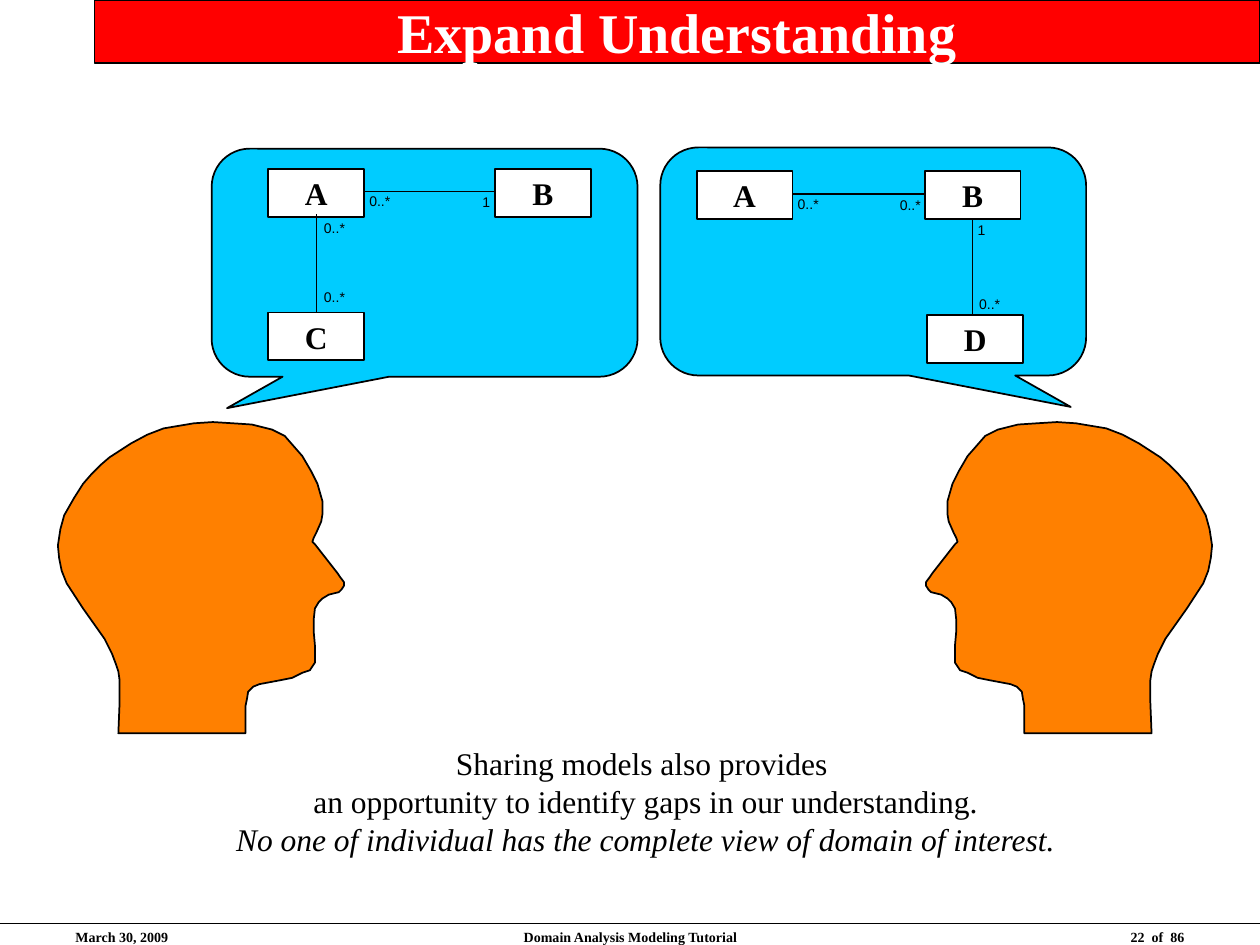
from dataclasses import dataclass
from lxml import etree
from pptx import Presentation
from pptx.dml.color import RGBColor
from pptx.enum.shapes import MSO_CONNECTOR, MSO_SHAPE
from pptx.enum.text import MSO_ANCHOR, MSO_AUTO_SIZE, PP_ALIGN
from pptx.oxml.ns import qn
from pptx.util import Inches, Pt

RECT = MSO_SHAPE.RECTANGLE
CALLOUT = MSO_SHAPE.ROUNDED_RECTANGULAR_CALLOUT
STRAIGHT = MSO_CONNECTOR.STRAIGHT
TOP, MIDDLE = MSO_ANCHOR.TOP, MSO_ANCHOR.MIDDLE
LEFT, CENTER, RIGHT = PP_ALIGN.LEFT, PP_ALIGN.CENTER, PP_ALIGN.RIGHT
COLS, ROWS = 1000, 750
CELL = Inches(10) // COLS


@dataclass(frozen=True)
class Theme:
    black: str = "000000"
    white: str = "FFFFFF"
    banner: str = "FF0000"
    bubble: str = "00CCFF"
    head: str = "FF8000"
    serif: str = "Times New Roman"
    sans: str = "Arial"
    title: int = 32
    body: int = 18
    small: int = 8
    thin: float = 0.75
    outline: float = 1


THEME = Theme()
TITLE = dict(name=THEME.serif, size=THEME.title, bold=True, color=THEME.white)
BODY = dict(name=THEME.serif, size=THEME.body, bold=False, color=THEME.black)
CLASS = {**BODY, "bold": True}
FOOTER = {**CLASS, "size": THEME.small}
LABEL = {**BODY, "name": THEME.sans, "size": THEME.small}

HEAD_SIZE = (227, 247)
HEAD_OUTLINE = [
    (149, 247), (149, 225), (150, 220), (151, 214), (155, 210), (160, 208),
    (176, 205), (186, 203), (194, 199), (200, 197), (202, 194), (204, 191),
    (204, 184), (204, 177), (203, 166), (203, 157), (204, 148), (207, 143),
    (210, 140), (215, 137), (223, 135), (225, 133), (227, 130), (227, 127),
    (224, 123), (222, 120), (204, 97), (202, 95), (203, 92), (205, 88),
    (209, 79), (210, 73), (210, 63), (206, 49), (201, 39), (194, 27),
    (187, 19), (180, 11), (170, 6), (154, 2), (139, 1), (123, 0),
    (108, 1), (96, 3), (84, 5), (71, 10), (58, 17), (41, 28),
    (34, 34), (27, 41), (20, 49), (13, 60), (5, 74), (2, 85),
    (0, 98), (1, 108), (3, 118), (7, 128), (20, 148), (37, 172),
    (43, 184), (46, 192), (48, 198), (49, 205), (49, 211), (49, 222),
    (48, 247),
]
CLASS_SIZE = (76, 38)
LABEL_WIDTHS = {"0..*": 37, "1": 26}
LABEL_HEIGHT = 24

LEFT_MODEL = dict(
    classes=[("A", 45, 16), ("C", 45, 130), ("B", 225, 16)],
    links=[(83, 52, 83, 130), (121, 34, 226, 34)],
    labels=[("0..*", 79, 106), ("0..*", 79, 51), ("0..*", 115, 30), ("1", 205, 31)],
)
RIGHT_MODEL = dict(
    classes=[("D", 212, 133), ("A", 29, 19), ("B", 210, 19)],
    links=[(105, 37, 210, 37), (248, 57, 248, 132)],
    labels=[("0..*", 99, 33), ("0..*", 180, 34), ("0..*", 243, 113), ("1", 242, 54)],
)


def grid(*cells):
    return [c * CELL for c in cells]


def paint(s, fill, width):
    s.shadow.inherit = False
    s.fill.solid()
    s.fill.fore_color.rgb = RGBColor.from_string(fill)
    s.line.color.rgb = RGBColor.from_string(THEME.black)
    s.line.width = Pt(width)


def format_font(font, style):
    values = {**style, "size": Pt(style["size"])}
    font.color.rgb = RGBColor.from_string(values.pop("color"))
    for key, value in values.items():
        setattr(font, key, value)


def write(s, lines, style, align=CENTER, anchor=TOP, wrap=False):
    tf = s.text_frame
    frame = dict(word_wrap=wrap, vertical_anchor=anchor, auto_size=MSO_AUTO_SIZE.NONE)
    for key, value in frame.items():
        setattr(tf, key, value)
    for i, line in enumerate(lines):
        p = tf.add_paragraph() if i else tf.paragraphs[0]
        p.alignment = align
        r = p.add_run()
        r.text = line
        format_font(r.font, style)
    return tf


def add_line(shapes, x1, y1, x2, y2):
    line = shapes.add_connector(STRAIGHT, *grid(x1, y1, x2, y2))
    line.line.color.rgb = RGBColor.from_string(THEME.black)
    line.line.width = Pt(THEME.thin)
    etree.SubElement(line._element.spPr, qn("a:effectLst"))


def add_title(s, box):
    title = s.shapes.title
    title.left, title.top, title.width, title.height = grid(*box)
    title.fill.solid()
    title.fill.fore_color.rgb = RGBColor.from_string(THEME.banner)
    title.line.color.rgb = RGBColor.from_string(THEME.black)
    title.line.width = Pt(THEME.thin)
    write(title, ["Expand Understanding"], TITLE, anchor=MIDDLE, wrap=True)


def add_footer(s, box):
    x, y, w, h = box
    add_line(s.shapes, x, y + 1, x + w, y + 1)
    parts = [
        ("March 30, 2009", 50, 233, LEFT),
        ("Domain Analysis Modeling Tutorial", 342, 317, CENTER),
        ("22  of  86", 717, 233, RIGHT),
    ]
    for text, dx, width, align in parts:
        tb = s.shapes.add_textbox(*grid(x + dx, y, width, h))
        write(tb, [text], FOOTER, align, wrap=True)


def add_head(s, x, y, mirrored=False):
    points = [(HEAD_SIZE[0] - px if mirrored else px, py) for px, py in HEAD_OUTLINE]
    builder = s.shapes.build_freeform(*points[0], scale=CELL)
    builder.add_line_segments(points[1:], close=True)
    paint(builder.convert_to_shape(*grid(x, y)), THEME.head, THEME.outline)


def add_speech(s, box, model, tail):
    x, y = box[:2]
    bubble = s.shapes.add_shape(CALLOUT, *grid(*box))
    for i, value in enumerate((tail, 0.638, 0.167)):
        bubble.adjustments[i] = value
    paint(bubble, THEME.bubble, THEME.outline)
    shapes = s.shapes.add_group_shape().shapes
    for name, dx, dy in model["classes"]:
        node = shapes.add_shape(RECT, *grid(x + dx, y + dy, *CLASS_SIZE))
        paint(node, THEME.white, THEME.outline)
        write(node, [name], CLASS, anchor=MIDDLE)
    for x1, y1, x2, y2 in model["links"]:
        add_line(shapes, x + x1, y + y1, x + x2, y + y2)
    for text, dx, dy in model["labels"]:
        tb = shapes.add_textbox(*grid(x + dx, y + dy, LABEL_WIDTHS[text], LABEL_HEIGHT))
        write(tb, [text], LABEL)


def add_message(s, box):
    tf = write(s.shapes.add_textbox(*grid(*box)), [
        "Sharing models also provides ",
        "an opportunity to identify gaps in our understanding.",
        "No one of individual has the complete view of domain of interest.",
    ], BODY)
    tf.paragraphs[-1].runs[0].font.italic = True


def main():
    prs = Presentation()
    prs.slide_width, prs.slide_height = grid(COLS, ROWS)
    s = prs.slides.add_slide(prs.slide_layouts[5])
    add_footer(s, (0, 732, COLS, 17))
    add_head(s, 46, 335)
    add_head(s, 735, 335, mirrored=True)
    add_message(s, (177, 586, 671, 100))
    add_title(s, (75, 0, 925, 50))
    add_speech(s, (168, 118, 338, 181), LEFT_MODEL, tail=-0.464)
    add_speech(s, (524, 117, 338, 181), RIGHT_MODEL, tail=0.464)
    prs.save("out.pptx")


if __name__ == "__main__":
    main()
